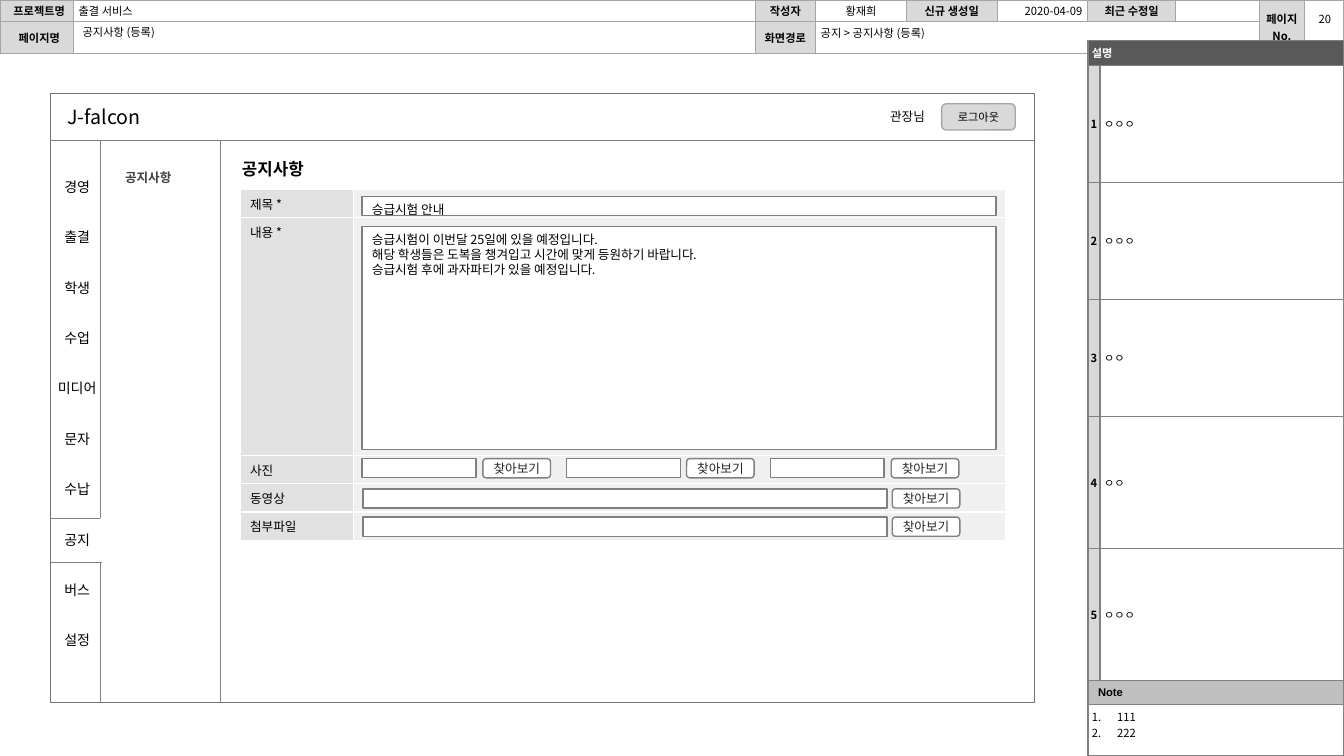
"""Build the notice registration wireframe slide with its header and description tables."""
from lxml import etree
from pptx import Presentation
from pptx.dml.color import RGBColor
from pptx.enum.shapes import MSO_CONNECTOR as Connector, MSO_SHAPE as Shape
from pptx.enum.text import MSO_ANCHOR as Anchor, MSO_AUTO_SIZE as AutoSize, PP_ALIGN as Align
from pptx.oxml.ns import qn
from pptx.util import Inches, Pt

COLORS = {
    "black": "000000", "white": "FFFFFF", "ink": "262626", "side": "404040",
    "dark": "595959", "frame": "767171", "line": "808080", "header_line": "A5A5A5",
    "button_line": "A6A6A6", "note": "BFBFBF", "label": "D9D9D9",
    "form_label": "E1E1E1", "form_field": "F0F0F0",
}
FONT = "Noto Sans CJK KR"
INSETS = (0.1, 0.05, 0.1, 0.05)
SMALL = (0.04, 0.04, 0.04, 0.04)


def write(frame, text, size=9, color="black", bold=False, align=Align.LEFT, anchor=Anchor.TOP,
          insets=INSETS, font=FONT, leading=1.2, gap=0):
    """Fill a text frame with one paragraph per line of text."""
    frame.word_wrap = True
    frame.vertical_anchor = anchor
    frame.margin_left, frame.margin_top, frame.margin_right, frame.margin_bottom = map(Inches, insets)
    for index, line in enumerate(text.split("\n")):
        paragraph = frame.add_paragraph() if index else frame.paragraphs[0]
        paragraph.alignment = align
        paragraph.space_before, paragraph.space_after = Pt(0), Pt(gap)
        if leading:
            paragraph.line_spacing = Pt(round(size * leading, 1))
        if not line:
            etree.SubElement(paragraph._p, qn("a:endParaRPr"), sz=str(size * 100))
            continue
        run = paragraph.add_run()
        run.text = line
        run.font.size, run.font.bold, run.font.name = Pt(size), bold, font
        run.font.color.rgb = RGBColor.from_string(COLORS[color])
        etree.SubElement(run._r.rPr, qn("a:ea"), typeface=font)


def add_grid(left, top, columns, rows, border):
    """Add a plain table with equal borders round every cell."""
    table = slide.shapes.add_table(len(rows), len(columns), Inches(left), Inches(top),
                                   Inches(sum(columns)), Inches(sum(rows))).table
    table.first_row = table.horz_banding = False
    for column, width in zip(table.columns, columns):
        column.width = Inches(width)
    for row, height in zip(table.rows, rows):
        row.height = Inches(height)
    for cell in table.iter_cells():
        properties = cell._tc.get_or_add_tcPr()
        for side in ("a:lnL", "a:lnR", "a:lnT", "a:lnB"):
            edge = etree.SubElement(properties, qn(side), w=str(Pt(1)))
            fill = etree.SubElement(edge, qn("a:solidFill"))
            etree.SubElement(fill, qn("a:srgbClr"), val=COLORS[border])
    return table


presentation = Presentation()
presentation.slide_width, presentation.slide_height = Inches(13.33), Inches(7.5)
slide = presentation.slides.add_slide(presentation.slide_layouts[1])

title, menu = slide.placeholders
title.left, title.top, title.width, title.height = map(Inches, (2.3, 1.52, 1.5, 0.3))
menu.left, menu.top, menu.width, menu.height = map(Inches, (0.42, 1.72, 0.69, 5.12))
title.text_frame.auto_size = menu.text_frame.auto_size = AutoSize.NONE
write(title.text_frame, "공지사항", size=12, bold=True)
write(menu.text_frame, "경영\n출결\n학생\n수업\n미디어\n문자\n수납\n공지\n버스\n설정",
      size=10, align=Align.CENTER, gap=24, insets=(0, 0.05, 0, 0.05))
for paragraph in menu.text_frame.paragraphs:
    properties = paragraph._p.get_or_add_pPr()
    properties.set("marL", "0")
    properties.set("indent", "0")
    etree.SubElement(properties, qn("a:buNone"))

header = add_grid(0, 0, [0.73, 6.76, 0.6, 0.9, 0.9, 0.9, 0.87, 0.83, 0.45, 0.39],
                  [0.21, 0.32], "header_line")
header_text = [
    ["프로젝트명", "출결 서비스", "작성자", "황재희", "신규 생성일", "", "최근 수정일", "", "페이지 No.", ""],
    ["페이지명", "", "화면경로", "", "", "", "", "", "", ""],
]
for row, texts in enumerate(header_text):
    for column, text in enumerate(texts):
        cell = header.cell(row, column)
        is_label = column % 2 == 0 and (row == 0 or column < 3)
        cell.fill.solid()
        cell.fill.fore_color.rgb = RGBColor.from_string(COLORS["label" if is_label else "white"])
        write(cell.text_frame, text, size=8, bold=is_label, leading=None,
              align=Align.LEFT if column == 1 else Align.CENTER,
              insets=(0.05 if column < 2 else 0, 0, 0, 0))
        cell.vertical_anchor = Anchor.MIDDLE
        cell.margin_left = Inches(0.05 if column < 2 else 0)
        cell.margin_top = cell.margin_right = cell.margin_bottom = 0
header.cell(1, 3).merge(header.cell(1, 7))
for column in (8, 9):
    header.cell(0, column).merge(header.cell(1, column))

notes = add_grid(10.79, 0.4, [0.12, 2.42], [0.25, 1.16, 1.16, 1.16, 1.31, 1.31, 0.24, 0.51], "line")
note_rows = [
    ("설명", "", "dark"), ("1", "ㅇㅇㅇ", "label"), ("2", "ㅇㅇㅇ", "label"), ("3", "ㅇㅇ", "label"),
    ("4", "ㅇㅇ", "label"), ("5", "ㅇㅇㅇ", "label"), ("Note", "", "note"), ("111\n222", "", "white"),
]
for row, (label, text, fill) in enumerate(note_rows):
    numbered = 0 < row < 6
    for column, content in enumerate((label, text)):
        cell = notes.cell(row, column)
        cell.fill.solid()
        cell.fill.fore_color.rgb = RGBColor.from_string(COLORS["white" if column else fill])
        write(cell.text_frame, content, size=8, bold=column == 0 and row < 7, leading=None,
              color="black" if row else "white", font="Arial" if label == "Note" else FONT,
              align=Align.CENTER if numbered and column == 0 else Align.LEFT)
        cell.vertical_anchor = Anchor.TOP if row == 7 else Anchor.MIDDLE
        cell.margin_left = Inches(0 if numbered and not column else 0.1 if label == "Note" else 0.04)
        cell.margin_right = 0
        cell.margin_top = cell.margin_bottom = Inches(0.04)
    if not numbered:
        notes.cell(row, 0).merge(notes.cell(row, 1))
for paragraph in notes.cell(7, 0).text_frame.paragraphs:
    properties = paragraph._p.get_or_add_pPr()
    properties.set("marL", str(Inches(0.25)))
    properties.set("indent", str(Inches(-0.25)))
    etree.SubElement(properties, qn("a:buAutoNum"), type="arabicPeriod")

form = add_grid(2.38, 1.88, [1.13, 6.46], [0.28, 2.36, 0.28, 0.28, 0.28], "white")
for row, label in enumerate(["제목 *", "내용 *", "사진", "동영상", "첨부파일"]):
    for column, (text, fill) in enumerate([(label, "form_label"), ("", "form_field")]):
        cell = form.cell(row, column)
        cell.fill.solid()
        cell.fill.fore_color.rgb = RGBColor.from_string(COLORS[fill])
        write(cell.text_frame, text, leading=None)
        cell.margin_top = Inches(0.05)
        cell.margin_bottom = Inches(0.04)

notice = ("승급시험이 이번달 25일에 있을 예정입니다.\n"
          "해당 학생들은 도복을 챙겨입고 시간에 맞게 등원하기 바랍니다.\n"
          "승급시험 후에 과자파티가 있을 예정입니다.")
button_text = dict(color="ink", align=Align.CENTER, anchor=Anchor.MIDDLE, insets=SMALL)
boxes = [
    (Shape.RECTANGLE, (0.5, 0.93, 9.76, 6.04), None, "frame", "", {}),
    (Shape.RECTANGLE, (3.59, 2.25, 6.29, 2.21), "white", "line", notice, {}),
    (Shape.RECTANGLE, (3.59, 1.95, 6.29, 0.19), "white", "line", "승급시험 안내", {}),
    (Shape.ROUNDED_RECTANGLE, (9.34, 1.03, 0.73, 0.26), "label", "button_line", "로그아웃",
     dict(button_text, size=8, color="black")),
]
browse_rows = [(3.59, 4.55, 1.13, 4.79), (5.62, 4.55, 1.13, 6.81), (7.64, 4.55, 1.13, 8.84),
               (3.6, 4.85, 5.2, 8.85), (3.6, 5.13, 5.2, 8.85)]
for left, top, width, button_left in browse_rows:
    boxes.append((Shape.RECTANGLE, (left, top, width, 0.19), "white", "line", "", {}))
    boxes.append((Shape.ROUNDED_RECTANGLE, (button_left, top, 0.67, 0.19), "white", "line",
                  "찾아보기", button_text))
for kind, place, fill, line, text, text_format in boxes:
    shape = slide.shapes.add_shape(kind, *map(Inches, place))
    shape.shadow.inherit = False
    if fill:
        shape.fill.solid()
        shape.fill.fore_color.rgb = RGBColor.from_string(COLORS[fill])
    else:
        shape.fill.background()
    shape.line.color.rgb = RGBColor.from_string(COLORS[line])
    shape.line.width = Pt(1)
    if text:
        write(shape.text_frame, text, **text_format)

dividers = [(1, 1.39, 1, 6.97, "line"), (2.19, 1.39, 2.19, 6.97, "line"),
            (0.5, 1.39, 10.26, 1.39, "line"), (1, 5.14, 0.5, 5.14, "line"),
            (1.01, 5.58, 0.51, 5.58, "line"), (1, 5.14, 1, 5.58, "white")]
for *ends, color in dividers:
    divider = slide.shapes.add_connector(Connector.STRAIGHT, *map(Inches, ends))
    divider.line.color.rgb = RGBColor.from_string(COLORS[color])
    divider.line.width = Pt(0.5)
    etree.SubElement(divider._element.spPr, qn("a:effectLst"))

labels = [
    ("공지사항 (등록)", (0.78, 0.21, 6.64, 0.21), dict(size=8, insets=SMALL)),
    ("2020-04-09", (10, 0, 0.9, 0.19), dict(size=8, align=Align.CENTER, insets=(0, 0.04, 0, 0.04))),
    ("20", (12.95, 0.01, 0.38, 0.29), dict(size=8, align=Align.CENTER, insets=(0, 0.12, 0, 0.04))),
    ("공지 > 공지사항 (등록)", (8.1, 0.22, 4.32, 0.21), dict(size=8, insets=SMALL)),
    ("J-falcon", (0.57, 0.99, 1.5, 0.34), dict(size=14)),
    ("공지사항", (1.2, 1.64, 0.94, 0.25), dict(color="side", bold=True, insets=(0.04, 0.05, 0.04, 0.05))),
    ("관장님", (8.73, 1.03, 0.61, 0.25), {}),
]
for text, place, text_format in labels:
    write(slide.shapes.add_textbox(*map(Inches, place)).text_frame, text, **text_format)

presentation.save("out.pptx")
